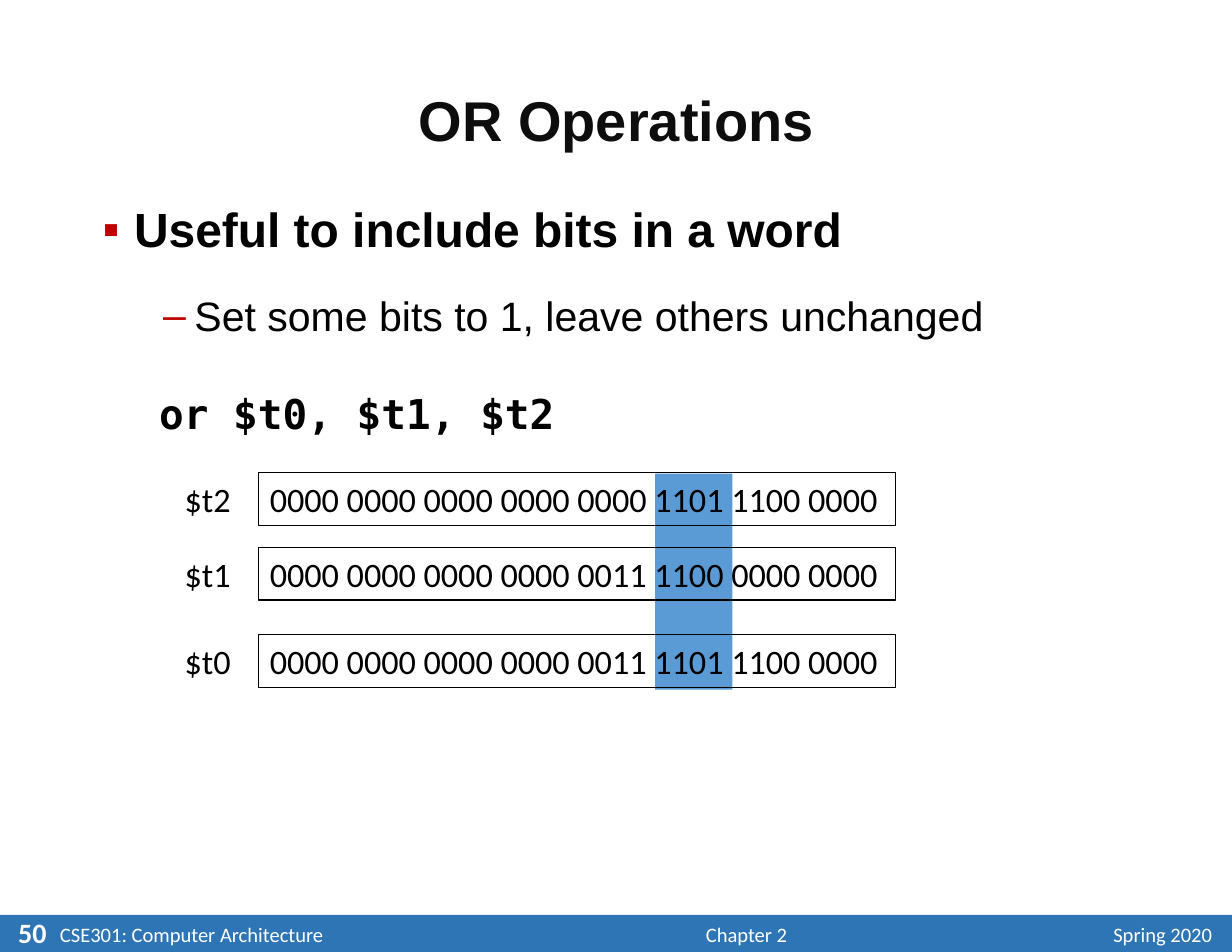
"""Build the OR Operations slide with its register bit patterns."""
from dataclasses import dataclass

from lxml import etree
from pptx import Presentation, util as u
from pptx.dml.color import RGBColor
from pptx.enum import shapes, text
from pptx.oxml.ns import qn

COLORS = {
    "footer": "2E75B6",
    "highlight": "5B9BD5",
    "title": "0D0D0D",
    "text": "000000",
    "bullet": "C00000",
    "white": "FFFFFF",
}
LEFT, CENTER, RIGHT = text.PP_ALIGN.LEFT, text.PP_ALIGN.CENTER, text.PP_ALIGN.RIGHT


@dataclass(frozen=True)
class Box:
    left: float
    top: float
    width: float
    height: float

    def lengths(self) -> list:
        return [u.Cm(value) for value in (self.left, self.top, self.width, self.height)]


@dataclass(frozen=True)
class Style:
    size: float
    font: str = "Calibri"
    color: str = "text"
    bold: bool = False


@dataclass(frozen=True)
class FooterItem:
    content: str
    box: Box
    style: Style
    alignment: text.PP_ALIGN


@dataclass(frozen=True)
class BodyLine:
    content: str
    style: Style
    margin: float
    hanging: float = 0
    space_before: float = 0
    bullet: str = ""


@dataclass(frozen=True)
class Register:
    name: str
    bits: str
    top: float


FOOTER_STYLE = Style(13.2, color="white")
FOOTER = [
    FooterItem("Chapter 2", Box(13.54, 20.78, 6.78, 0.81), FOOTER_STYLE, CENTER),
    FooterItem("Spring 2020", Box(23.5, 20.78, 4.24, 0.81), FOOTER_STYLE, RIGHT),
    FooterItem("CSE301: Computer Architecture", Box(1.11, 20.78, 6.66, 0.81), FOOTER_STYLE, LEFT),
    FooterItem("50", Box(0.1, 20.63, 1.27, 0.86), Style(18, color="white", bold=True), CENTER),
]
BODY = [
    BodyLine("Useful to include bits in a word", Style(30.8, "Arial", bold=True), 0.71, 0.71, bullet="▪"),
    BodyLine("Set some bits to 1, leave others unchanged", Style(26.4, "Arial"), 2.08, 0.71, 5.5, "‒"),
    BodyLine("or $t0, $t1, $t2", Style(26.4, "DejaVu Sans Mono", bold=True), 1.28, space_before=15.5),
]
REGISTERS = [
    Register("$t2", "0000 0000 0000 0000 0000 1101 1100 0000", 10.72),
    Register("$t1", "0000 0000 0000 0000 0011 1100 0000 0000", 12.42),
    Register("$t0", "0000 0000 0000 0000 0011 1101 1100 0000", 14.4),
]
REGISTER_STYLE = Style(22)
REGISTER_HEIGHT = 1.19


def rgb(name: str) -> RGBColor:
    return RGBColor.from_string(COLORS[name])


def write(paragraph, content: str, style: Style, alignment=LEFT) -> None:
    paragraph.text = content
    paragraph.alignment = alignment
    for run in paragraph.runs:
        run.font.size = u.Pt(style.size)
        run.font.name = style.font
        run.font.bold = style.bold
        run.font.color.rgb = rgb(style.color)


def add_text(slide, box: Box, content: str, style: Style, alignment=LEFT, wrap=True) -> None:
    frame = slide.shapes.add_textbox(*box.lengths()).text_frame
    frame.word_wrap = wrap
    write(frame.paragraphs[0], content, style, alignment)


def add_rectangle(slide, box: Box, fill: str = "", line: str = ""):
    shape = slide.shapes.add_shape(shapes.MSO_SHAPE.RECTANGLE, *box.lengths())
    shape.shadow.inherit = False
    if fill:
        shape.fill.solid()
        shape.fill.fore_color.rgb = rgb(fill)
    else:
        shape.fill.background()
    if line:
        shape.line.color.rgb = rgb(line)
        shape.line.width = u.Pt(0.75)
    else:
        shape.line.fill.background()
    return shape


def add_footer(slide) -> None:
    add_rectangle(slide, Box(0, 20.75, 27.94, 0.84), fill="footer")
    for item in FOOTER:
        add_text(slide, item.box, item.content, item.style, item.alignment)


def format_title(slide) -> None:
    title = slide.shapes.title
    title.left, title.top, title.width, title.height = Box(1.93, 1.14, 24.1, 3.3).lengths()
    title.text_frame.vertical_anchor = text.MSO_ANCHOR.MIDDLE
    paragraph = title.text_frame.paragraphs[0]
    write(paragraph, "OR Operations", Style(36, "Arial", "title", True), CENTER)
    paragraph.line_spacing = 0.9


def set_bullet(paragraph, line: BodyLine) -> None:
    properties = paragraph._p.get_or_add_pPr()
    properties.set("marL", str(u.Cm(line.margin)))
    properties.set("indent", str(-u.Cm(line.hanging)))
    if line.bullet:
        color = etree.SubElement(properties, qn("a:buClr"))
        etree.SubElement(color, qn("a:srgbClr"), val=COLORS["bullet"])
        etree.SubElement(properties, qn("a:buFont"), typeface="Arial")
        etree.SubElement(properties, qn("a:buChar"), char=line.bullet)


def add_body(slide) -> None:
    frame = slide.shapes.add_textbox(*Box(2.08, 3.76, 25.27, 6.32).lengths()).text_frame
    frame.word_wrap = True
    for index, line in enumerate(BODY):
        paragraph = frame.add_paragraph() if index else frame.paragraphs[0]
        write(paragraph, line.content, line.style)
        paragraph.line_spacing = 1.5
        paragraph.space_before = u.Pt(line.space_before)
        set_bullet(paragraph, line)


def add_register(slide, register: Register) -> None:
    add_text(slide, Box(3.94, register.top, 1.57, REGISTER_HEIGHT), register.name, REGISTER_STYLE, wrap=False)
    shape = add_rectangle(slide, Box(5.87, register.top, 14.45, REGISTER_HEIGHT), line="text")
    frame = shape.text_frame
    frame.word_wrap = False
    frame.vertical_anchor = text.MSO_ANCHOR.TOP
    write(frame.paragraphs[0], register.bits, REGISTER_STYLE)


def main() -> None:
    presentation = Presentation()
    presentation.slide_width, presentation.slide_height = u.Cm(27.94), u.Cm(21.59)
    slide = presentation.slides.add_slide(presentation.slide_layouts[5])
    add_footer(slide)
    add_rectangle(slide, Box(14.86, 10.74, 1.75, 4.9), fill="highlight")
    format_title(slide)
    add_body(slide)
    for register in REGISTERS:
        add_register(slide, register)
    presentation.save("out.pptx")


if __name__ == "__main__":
    main()
